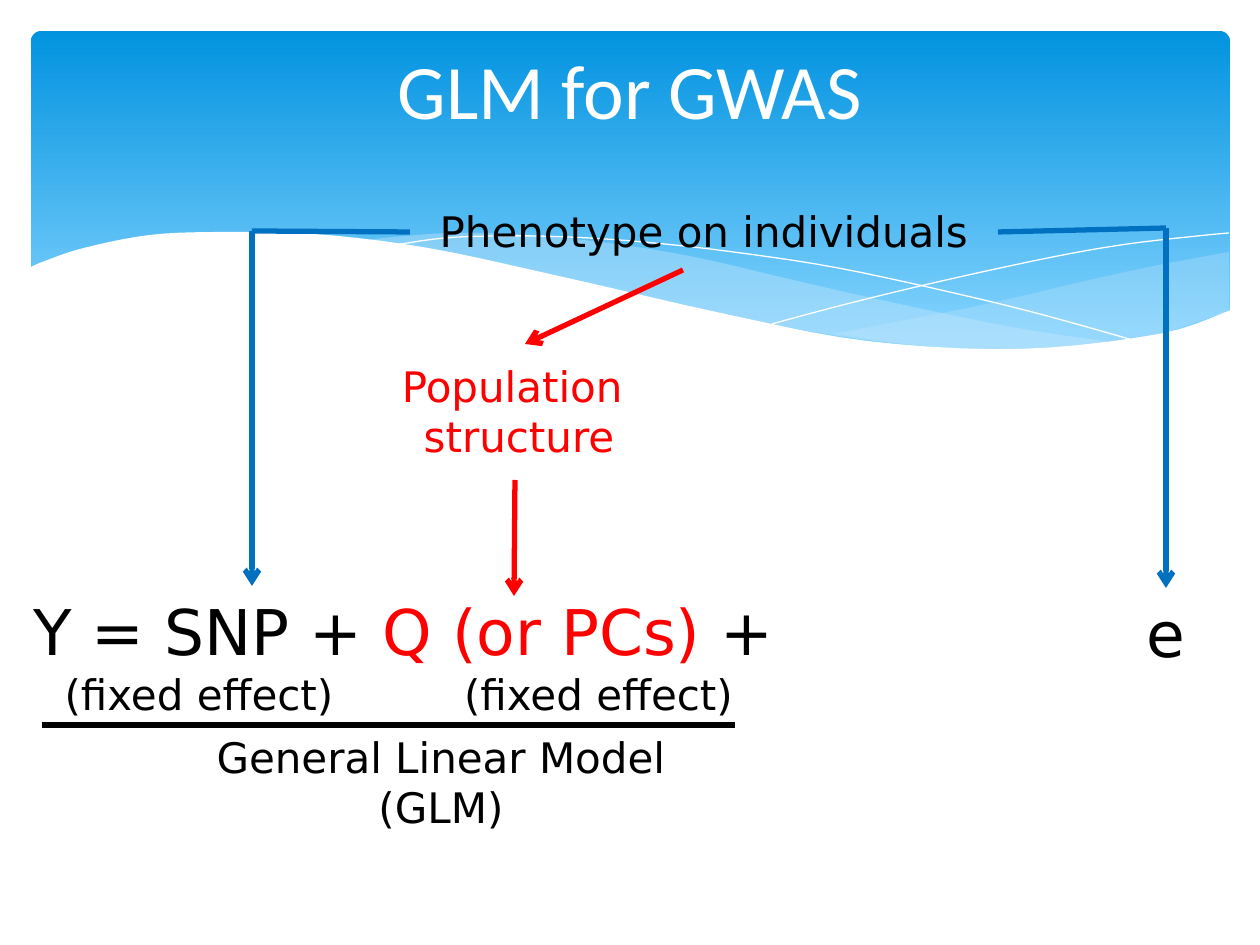
from lxml import etree
from pptx import Presentation
from pptx.dml.color import RGBColor
from pptx.enum.shapes import MSO_CONNECTOR, MSO_SHAPE
from pptx.enum.text import MSO_ANCHOR, MSO_AUTO_SIZE, PP_ALIGN
from pptx.oxml.ns import qn
from pptx.util import Emu, Pt

PX = 914400 // 126
STRAIGHT = MSO_CONNECTOR.STRAIGHT
ROUNDED = MSO_SHAPE.ROUNDED_RECTANGLE
CENTER, LEFT = PP_ALIGN.CENTER, PP_ALIGN.LEFT
MIDDLE = MSO_ANCHOR.MIDDLE
GROW = MSO_AUTO_SIZE.SHAPE_TO_FIT_TEXT
LEFT_SIDE, RIGHT_SIDE, TOP_SIDE = 1, 3, 0

COLORS = {
    "sky": "0293E0", "haze": "83D3FE", "band": "C6E7FC", "white": "FFFFFF",
    "black": "000000", "red": "FF0000", "blue": "0070C0",
}

# Knots of the wave outlines, in px
RIGHT_BAND = [
    [(1229, 252), (1159, 265), (1085, 281), (982, 305), (833, 334)],
    [(833, 334), (906, 344), (969, 349), (1038, 349), (1099, 345),
     (1160, 334), (1229, 311)],
]
MIDDLE_BAND = [
    [(1125, 344), (1017, 328), (890, 302), (793, 280), (699, 258), (616, 244),
     (529, 235), (455, 233), (394, 237), (360, 241)],
    [(360, 241), (456, 256), (566, 280), (713, 312), (819, 333), (910, 345),
     (989, 350), (1056, 350), (1125, 344)],
]
FALLING_LINE = [
    [(389, 246), (445, 238), (505, 236), (567, 237), (643, 242), (733, 252),
     (838, 268), (958, 294), (1047, 316), (1143, 343)],
]
RISING_LINE = [
    [(772, 324), (847, 304), (942, 281), (1053, 257), (1128, 244),
     (1198, 236), (1229, 233)],
]
WHITE_WAVE = [
    [(1231, 310), (1159, 334), (1019, 349), (867, 341), (730, 315), (563, 277),
     (428, 248), (315, 234), (223, 232), (150, 235), (84, 248), (45, 261),
     (29, 268)],
    [(29, 415), (1231, 415)],
]


def px(length):
    return Emu(length * PX)


def rgb(name):
    return RGBColor.from_string(COLORS[name])


def smooth(knots, steps=5):
    """Points of a Catmull-Rom curve through the knots, in EMU."""
    padded = [knots[0], *knots, knots[-1]]
    points = []
    for a, b, c, d in zip(padded, padded[1:], padded[2:], padded[3:]):
        for step in range(steps):
            t = step / steps
            points.append(tuple(
                round(PX * (q + t * (r - p + t * (2 * p - 5 * q + 4 * r - s
                                                  + t * (3 * (q - r) + s - p))) / 2))
                for p, q, r, s in zip(a, b, c, d)))
    points.append(tuple(PX * value for value in knots[-1]))
    return points


class Painter:
    """Style and current slide."""

    font = "DejaVu Sans"
    title_font = "Calibri"
    line_width = Pt(3)

    def __init__(self, page):
        self.page = page
        self.shapes = page.shapes

    def backdrop(self, left, top, width, height):
        panel = self.shapes.add_shape(ROUNDED, px(left), px(top), px(width), px(height))
        panel.adjustments[0] = 0.03
        panel.shadow.inherit = False
        panel.line.fill.background()
        panel.fill.gradient()
        panel.fill.gradient_angle = 270
        stops = panel.fill.gradient_stops
        for stop, color, position in zip(stops, ("sky", "haze"), (0, 0.9)):
            stop.color.rgb = rgb(color)
            stop.position = position

    def outline(self, curves, closed):
        points = [point for knots in curves for point in smooth(knots)]
        builder = self.shapes.build_freeform(*points[0], scale=1.0)
        builder.add_line_segments(points[1:], close=closed)
        shape = builder.convert_to_shape()
        shape.shadow.inherit = False
        return shape

    def area(self, curves, color, opacity=100):
        shape = self.outline(curves, True)
        shape.line.fill.background()
        shape.fill.solid()
        shape.fill.fore_color.rgb = rgb(color)
        if opacity < 100:
            tint = shape.element.spPr.find(qn("a:solidFill"))[0]
            etree.SubElement(tint, qn("a:alpha"), val=str(opacity * 1000))

    def hairline(self, curves):
        shape = self.outline(curves, False)
        shape.fill.background()
        shape.line.color.rgb = rgb("white")
        shape.line.width = 0

    def title(self, text, left, top, width, height):
        title = self.shapes.title
        title.left, title.top = px(left), px(top)
        title.width, title.height = px(width), px(height)
        title.text_frame.vertical_anchor = MIDDLE
        title.text_frame.text = text
        para = title.text_frame.paragraphs[0]
        para.alignment = CENTER
        self.style(para.font, 44, "white", self.title_font)
        # Bring the title in front of the backdrop
        title.element.getparent().append(title.element)

    def style(self, font, size, color, name=None):
        font.name = name or self.font
        font.size = Pt(size)
        font.color.rgb = rgb(color)

    def text(self, lines, left, top, width, height, size=24, color="black", align=CENTER):
        """Each line is a list of (text, colour) spans or a plain string."""
        box = self.shapes.add_textbox(px(left), px(top), px(width), px(height))
        frame = box.text_frame
        frame.word_wrap = True
        frame.auto_size = GROW
        for index, line in enumerate(lines):
            para = frame.add_paragraph() if index else frame.paragraphs[0]
            para.alignment = align
            self.style(para.font, size, color)
            spans = [(line, color)] if isinstance(line, str) else line
            for words, tint in spans:
                span = para.add_run()
                span.text = words
                if tint != color:
                    span.font.color.rgb = rgb(tint)
        return box

    def line(self, start, end, color, arrow=False):
        line = self.shapes.add_connector(STRAIGHT, *map(px, start + end))
        line.line.color.rgb = rgb(color)
        line.line.width = self.line_width
        if arrow:
            etree.SubElement(line.line._get_or_add_ln(), qn("a:tailEnd"), type="arrow")
        etree.SubElement(line.element.spPr, qn("a:effectLst"))
        return line


def main():
    deck = Presentation()
    deck.slide_width, deck.slide_height = px(1260), px(945)
    painter = Painter(deck.slides.add_slide(deck.slide_layouts[5]))

    painter.backdrop(31, 31, 1199, 340)
    painter.area(RIGHT_BAND, "band", 29)
    painter.area(MIDDLE_BAND, "band", 40)
    painter.hairline(FALLING_LINE)
    painter.hairline(RISING_LINE)
    painter.area(WHITE_WAVE, "white")
    painter.title("GLM for GWAS", 63, 10, 1134, 158)

    phenotype = painter.text(["Phenotype on individuals"], 410, 199, 588, 66)
    painter.text(["Population ", "structure"], 388, 354, 262, 115, color="red")
    painter.line((683, 270), (525, 344), "red", arrow=True)
    equation = [("Y = SNP + ", "black"), ("Q (or PCs)", "red"), (" +", "black")]
    painter.text([equation], 21, 586, 1008, 89, size=36, align=LEFT)
    for left, width in ((31, 336), (378, 441)):
        painter.text(["(fixed effect)"], left, 662, width, 64)
    painter.text(["General Linear Model (GLM)"], 168, 725, 546, 50)
    error = painter.text(["e"], 1103, 588, 126, 89, size=36)

    painter.line((735, 725), (42, 725), "black")
    painter.line((515, 480), (514, 596), "red", arrow=True)
    to_error = painter.line((1166, 228), (1166, 588), "blue", arrow=True)
    to_error.end_connect(error, TOP_SIDE)
    right_branch = painter.line((1166, 228), (998, 232), "blue")
    right_branch.end_connect(phenotype, RIGHT_SIDE)
    painter.line((252, 231), (252, 586), "blue", arrow=True)
    left_branch = painter.line((410, 232), (252, 231), "blue")
    left_branch.begin_connect(phenotype, LEFT_SIDE)

    deck.save("out.pptx")


if __name__ == "__main__":
    main()
